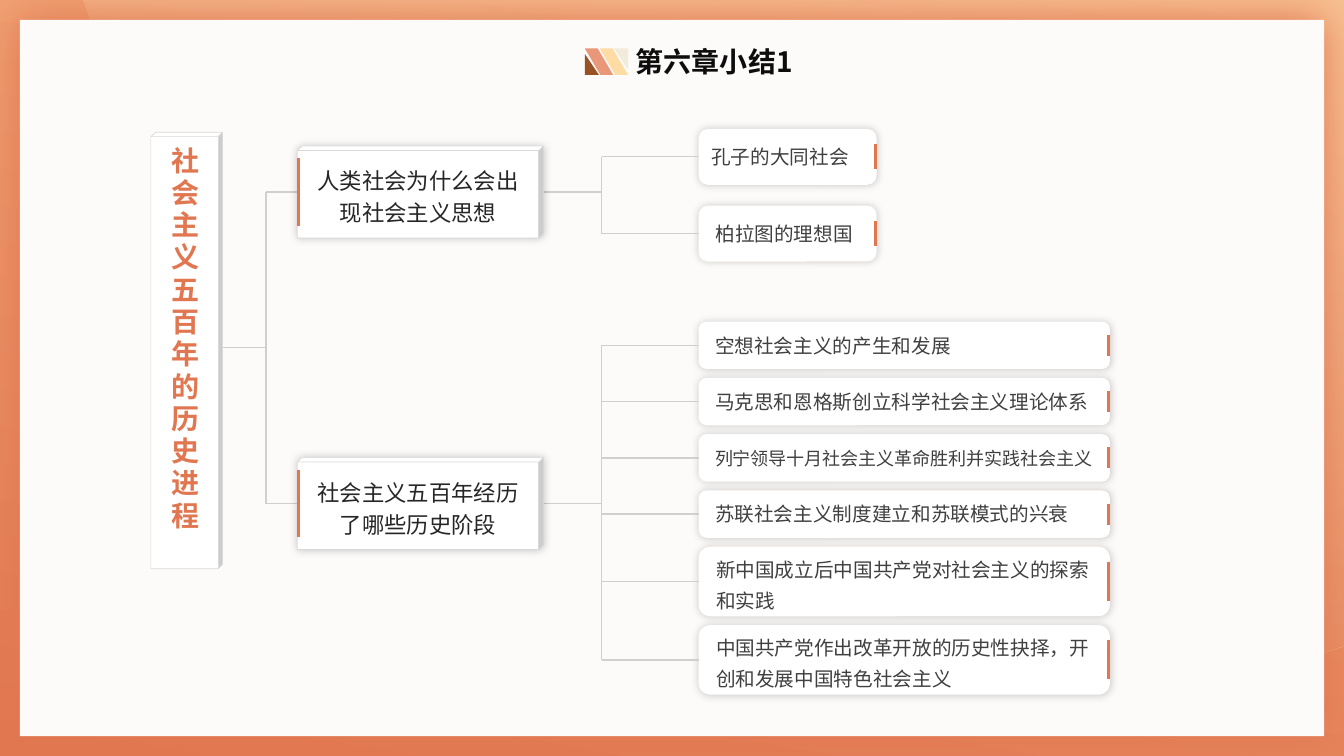
from dataclasses import dataclass

from lxml.etree import SubElement
from pptx import Presentation
from pptx.dml.color import RGBColor
from pptx.enum.shapes import MSO_CONNECTOR as CXN, MSO_SHAPE as SHAPE
from pptx.enum.text import MSO_ANCHOR as ANCHOR, PP_ALIGN as ALIGN
from pptx.oxml.ns import qn
from pptx.util import Pt

COLORS = {
    "accent": "E17751", "glow": "F4AD7D", "sand": "FDD5A6", "paper": "FDFBF9",
    "white": "FFFFFF", "edge": "D9D9D9", "link": "D0CECE", "black": "000000",
    "title": "0D0D0D", "branch": "262626", "leaf": "404040",
    "yellow": "FEDCA3", "cream": "F2EBD9", "pink": "E89779", "brown": "985125",
}
FONT = "Noto Sans CJK SC"
SLIDE_W, SLIDE_H = 960, 540
SPINE_X, TRUNK_X = 190, 429.8
BRANCH_X, BRANCH_W, BRANCH_H = 212.4, 175.7, 65.6
LEAF_X = 499


@dataclass
class Leaf:
    text: str
    height: float = 33.9
    size: float = 14
    indent: float = 3
    spacing: float = 1.0
    tick: float = 0.5


@dataclass
class Branch:
    text: str
    top: float
    leaf_top: float
    leaf_gap: float
    leaf_width: float
    leaves: list[Leaf]


@dataclass
class Mark:
    kind: SHAPE
    box: tuple[float, float, float, float]
    color: str
    flips: tuple[str, ...] = ()


BRANCHES = [
    Branch("人类社会为什么会出现社会主义思想", 104.4, 92, 14.8, 127.2, [
        Leaf("孔子的大同社会", 40, indent=0),
        Leaf("柏拉图的理想国", 40),
    ]),
    Branch("社会主义五百年经历了哪些历史阶段", 326.9, 229.7, 6.3, 293.8, [
        Leaf("空想社会主义的产生和发展"),
        Leaf("马克思和恩格斯创立科学社会主义理论体系"),
        Leaf("列宁领导十月社会主义革命胜利并实践社会主义", size=12.9),
        Leaf("苏联社会主义制度建立和苏联模式的兴衰"),
        Leaf("新中国成立后中国共产党对社会主义的探索和实践", 49.7, spacing=1.3, tick=0.6),
        Leaf("中国共产党作出改革开放的历史性抉择，开创和发展中国特色社会主义",
             49.7, spacing=1.3, tick=0.6),
    ]),
]
MARKS = [
    Mark(SHAPE.PARALLELOGRAM, (428.4, 34.6, 20.2, 18.9), "yellow", ("flipH",)),
    Mark(SHAPE.RIGHT_TRIANGLE, (438.6, 34.6, 10, 14.9), "cream", ("flipH", "flipV")),
    Mark(SHAPE.PARALLELOGRAM, (417.8, 34.6, 20.2, 18.9), "pink", ("flipH",)),
    Mark(SHAPE.RIGHT_TRIANGLE, (417.8, 38.6, 10, 14.9), "brown"),
]


def rgb(name: str) -> RGBColor:
    return RGBColor.from_string(COLORS[name])


def add_shadow(s, color: str, opacity: int, blur: float) -> None:
    effects = s._element.spPr.find(qn("a:effectLst"))
    outer = SubElement(effects, qn("a:outerShdw"), blurRad=str(Pt(blur)), dist="0",
                       algn="ctr", rotWithShape="0")
    clr = SubElement(outer, qn("a:srgbClr"), val=COLORS[color])
    SubElement(clr, qn("a:alpha"), val=str(opacity * 1000))


def add_box(kind: SHAPE, x: float, y: float, w: float, h: float, fill: str,
            line: str = "", adj: float | None = None):
    s = shapes.add_shape(kind, Pt(x), Pt(y), Pt(w), Pt(h))
    s.shadow.inherit = False
    s.fill.solid()
    s.fill.fore_color.rgb = rgb(fill)
    if line:
        s.line.color.rgb = rgb(line)
        s.line.width = Pt(0.5)
    else:
        s.line.fill.background()
    if adj is not None:
        s.adjustments[0] = adj
    return s


def set_gradient(s, start: str, end: str) -> None:
    s.fill.gradient()
    s.fill.gradient_angle = 80
    for stop, color in zip(s.fill.gradient_stops, (start, end)):
        stop.color.rgb = rgb(color)


def add_line(x1: float, y1: float, x2: float, y2: float, color: str = "link",
             width: float = 1):
    c = shapes.add_connector(CXN.STRAIGHT, Pt(x1), Pt(y1), Pt(x2), Pt(y2))
    c.line.color.rgb = rgb(color)
    c.line.width = Pt(width)
    SubElement(c._element.spPr, qn("a:effectLst"))
    return c


def add_text(s, text: str, size: float, color: str, align=ALIGN.LEFT,
             spacing: float = 1.0, bold: bool = False, anchor=ANCHOR.MIDDLE):
    tf = s.text_frame
    tf.word_wrap = True
    tf.vertical_anchor = anchor
    p = tf.paragraphs[0]
    p.alignment, p.line_spacing = align, spacing
    r = p.add_run()
    r.text = text
    for name, value in {"size": Pt(size), "name": FONT, "bold": bold}.items():
        setattr(r.font, name, value)
    r.font.color.rgb = rgb(color)
    SubElement(r._r.rPr, qn("a:ea"), typeface=FONT)
    return p, r


def bezier(p0, p1, p2, p3, steps: int = 12) -> list[tuple[int, int]]:
    points = []
    for i in range(1, steps + 1):
        t = i / steps
        weights = ((1 - t) ** 3, 3 * t * (1 - t) ** 2, 3 * t * t * (1 - t), t ** 3)
        points.append(tuple(Pt(sum(k * p[axis] for k, p in zip(weights, (p0, p1, p2, p3))))
                            for axis in (0, 1)))
    return points


def add_backdrop() -> None:
    s = add_box(SHAPE.RECTANGLE, 0, 0, SLIDE_W, SLIDE_H, "accent")
    set_gradient(s, "accent", "glow")
    low, bottom = (946.8, 465.1), (735.8, 496.8)
    fb = shapes.build_freeform(Pt(59.8), 0)
    fb.add_line_segments([(Pt(SLIDE_W), 0), (Pt(SLIDE_W), Pt(460.8)), (Pt(low[0]), Pt(low[1])),
                          *bezier(low, (879.8, 486), (809.3, 496.8), bottom),
                          *bezier(bottom, (429.8, 496.8), (169.9, 303.1), (70.6, 31.7))])
    s = fb.convert_to_shape()
    s.shadow.inherit = False
    s.line.fill.background()
    set_gradient(s, "accent", "sand")
    last = s._element.spPr.findall(".//" + qn("a:srgbClr"))[-1]
    SubElement(last, qn("a:alpha"), val="50000")
    s = add_box(SHAPE.RECTANGLE, 14.2, 14.2, 931.6, 511.6, "paper")
    add_shadow(s, "accent", 100, 30)


def add_title() -> None:
    s = shapes.add_textbox(Pt(447.1), Pt(28.1), Pt(142.6), Pt(55.4))
    add_text(s, "第六章小结1", 20, "title", bold=True, anchor=ANCHOR.TOP)
    for m in MARKS:
        s = add_box(m.kind, *m.box, m.color,
                    adj=0.585 if m.kind == SHAPE.PARALLELOGRAM else None)
        for flip in m.flips:
            s._element.spPr.xfrm.set(flip, "1")


def add_leaf(leaf: Leaf, y: float, width: float) -> None:
    s = add_box(SHAPE.ROUNDED_RECTANGLE, LEAF_X, y, width, leaf.height, "white")
    add_shadow(s, "black", 20, 6)
    p, _ = add_text(s, leaf.text, leaf.size, "leaf", spacing=leaf.spacing)
    p._p.get_or_add_pPr().set("marL", str(Pt(leaf.indent)))
    mid, half = y + leaf.height / 2, leaf.height * leaf.tick / 2
    add_line(TRUNK_X, mid, LEAF_X, mid).end_connect(s, 1)
    x = LEAF_X + width - 0.7
    add_line(x, mid - half + 1, x, mid + half - 1, "accent", 2)


def add_branch(b: Branch) -> None:
    mid = b.top + BRANCH_H / 2
    add_line(SPINE_X, mid, BRANCH_X, mid)
    add_line(BRANCH_X + BRANCH_W, mid, TRUNK_X, mid)
    y, mids = b.leaf_top, []
    for leaf in b.leaves:
        add_leaf(leaf, y, b.leaf_width)
        mids.append(y + leaf.height / 2)
        y += leaf.height + b.leaf_gap
    add_line(TRUNK_X, mids[0], TRUNK_X, mids[-1])
    s = add_box(SHAPE.CUBE, BRANCH_X, b.top, BRANCH_W, BRANCH_H, "white", "edge", 0.048)
    add_shadow(s, "black", 20, 6)
    add_text(s, b.text, 16, "branch", ALIGN.CENTER, 1.2)
    add_line(BRANCH_X + 0.6, b.top + 8.6, BRANCH_X + 0.6, b.top + 56.8, "accent", 2)


def add_root() -> None:
    add_line(158, 248.3, SPINE_X, 248.3)
    first, last = (b.top + BRANCH_H / 2 for b in BRANCHES)
    add_line(SPINE_X, first, SPINE_X, last)
    s = add_box(SHAPE.CUBE, 107.8, 94.4, 51.2, 311.9, "white", "edge", 0.063)
    _, r = add_text(s, "社会主义五百年的历史进程", 20, "accent", ALIGN.CENTER, bold=True)
    r._r.rPr.set("spc", "300")
    s.text_frame._txBody.bodyPr.set("vert", "eaVert")


# Slide
prs = Presentation()
prs.slide_width, prs.slide_height = Pt(SLIDE_W), Pt(SLIDE_H)
shapes = prs.slides.add_slide(prs.slide_layouts[6]).shapes

# Frame, heading and mind map
add_backdrop()
add_title()
for branch in BRANCHES:
    add_branch(branch)
add_root()
prs.save("out.pptx")
